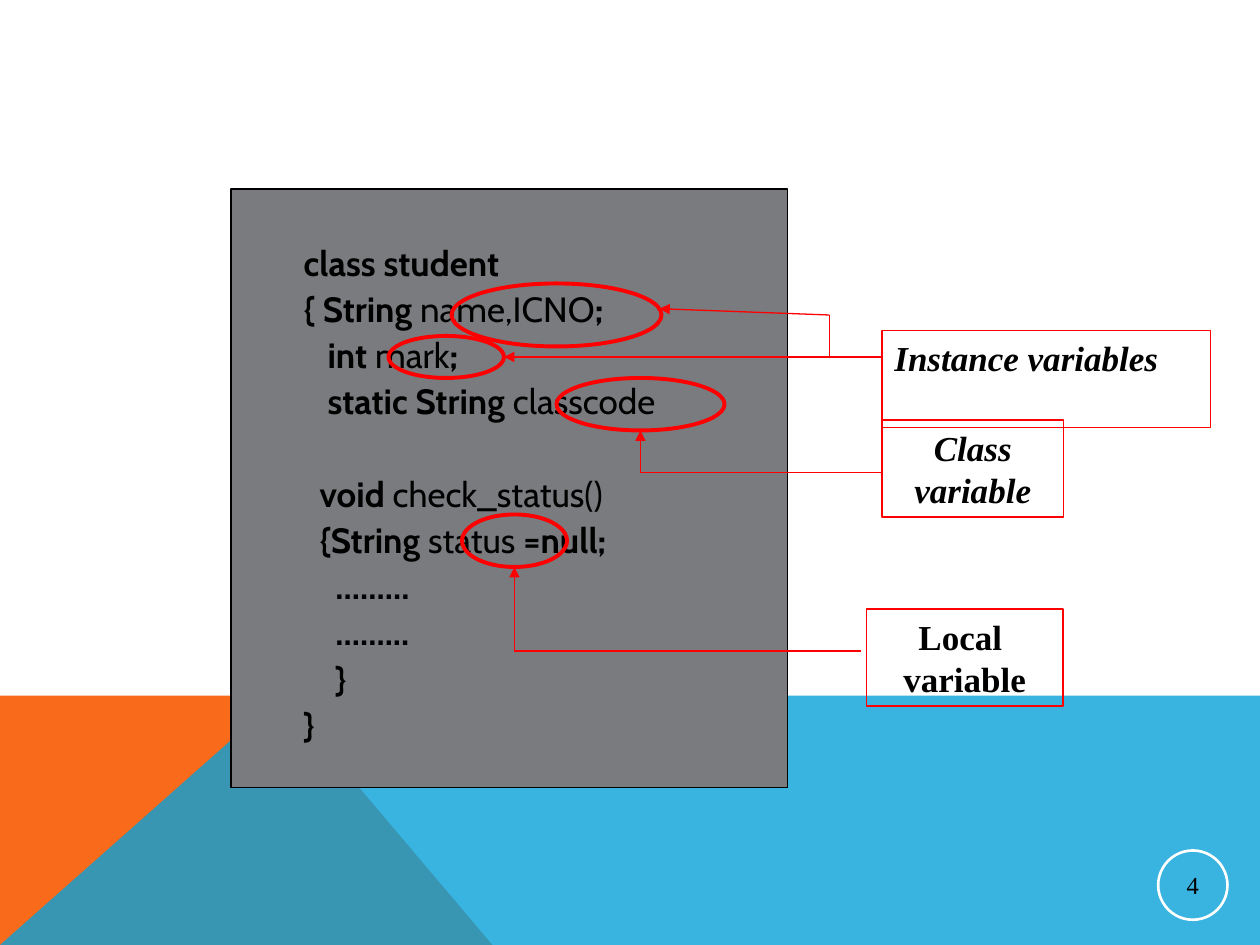
from typing import NamedTuple

from lxml import etree
from pptx import Presentation
from pptx import util as u
from pptx.dml.color import RGBColor
from pptx.enum import shapes, text
from pptx.oxml.ns import qn

CELL = u.Inches(10) // 120  # grid of 120 columns by 90 rows


class Theme(NamedTuple):
    white: str = "FFFFFF"
    black: str = "000000"
    red: str = "FF0000"
    gray: str = "797B7E"
    orange: str = "F96A1B"
    blue: str = "08A1D9"
    code: str = "Cabin"
    serif: str = "Times New Roman"
    size: int = 20
    small: int = 14
    thin: float = 0.75
    ring: float = 1.5
    thick: float = 2.25


class Box(NamedTuple):
    """Left, top, width and height in grid cells."""
    col: float
    row: float
    cols: float
    rows: float


class Label(NamedTuple):
    box: Box
    words: str
    italic: bool
    align: text.PP_ALIGN


class Code(NamedTuple):
    words: str  # parts between bars switch from bold to plain
    indent: float = 0
    gap: float = 0


Point = tuple[float, float]
T = Theme()
LEFT, MID = text.PP_ALIGN.LEFT, text.PP_ALIGN.CENTER
RECT, OVAL = shapes.MSO_SHAPE.RECTANGLE, shapes.MSO_SHAPE.OVAL
SPACE = 0.063  # indent step of the code, inches
PITCH = 26.4  # height of one code line, points

LABELS = [
    Label(Box(84, 31.5, 31.3, 9.25), "Instance variables", True, LEFT),
    Label(Box(84, 40, 17.3, 9.25), "Class\nvariable", True, MID),
    Label(Box(82.5, 58, 18.75, 9.25), "Local \nvariable", False, MID),
]
RINGS = [Box(44, 49, 10, 5), Box(53, 36, 16, 5),
         Box(43, 27, 20, 6), Box(37, 32, 11, 4)]
ROUTES = [  # each has its arrowhead at the first point
    [(62.8, 29.4), (79, 30), (79, 34)],
    [(48, 34), (79, 34), (84, 34)],
    [(61, 41), (61, 45), (84, 45)],
    [(49, 54), (49, 62), (82, 62)],
]
CODE = [
    Code("class student"),
    Code("{ String |name,ICNO|;"),
    Code("int |mark|;", 3),
    Code("static String |classcode", 3),
    Code("void |check_status()", 2, PITCH),
    Code("{String |status| =null;", 2),
    Code("………", 4),
    Code("……...", 4),
    Code("}", 4),
    Code("}"),
]


def grid(*cells: float) -> list[int]:
    return [round(n * CELL) for n in cells]


def style(run, font: str, size: float, bold: bool = False,
          italic: bool = False) -> None:
    face = run.font
    face.name, face.size = font, u.Pt(size)
    face.bold, face.italic = bold, italic
    face.color.rgb = RGBColor.from_string(T.black)


def shape(slide, kind, box: Box, line: str, width: float,
          fill: str | None = None):
    item = slide.shapes.add_shape(kind, *grid(*box))
    item.shadow.inherit = False
    if fill:
        item.fill.solid()
        item.fill.fore_color.rgb = RGBColor.from_string(fill)
    else:
        item.fill.background()
    item.line.color.rgb = RGBColor.from_string(line)
    item.line.width = u.Pt(width)
    return item


def wedge(slide, points: list[Point], color: str, alpha: int = 100) -> None:
    """Draw a filled outline with the given opacity in percent."""
    start, *rest = [tuple(grid(*p)) for p in points]
    form = slide.shapes.build_freeform(*start)
    form.add_line_segments(rest, close=True)
    item = form.convert_to_shape()
    item.shadow.inherit = False
    item.line.fill.background()
    item.fill.solid()
    item.fill.fore_color.rgb = RGBColor.from_string(color)
    if alpha < 100:
        tint = item.fill._xPr.find(".//" + qn("a:srgbClr"))
        etree.SubElement(tint, qn("a:alpha"), val=str(alpha * 1000))


def route(slide, points: list[Point]) -> None:
    for i, (start, end) in enumerate(zip(points, points[1:])):
        link = slide.shapes.add_connector(
            shapes.MSO_CONNECTOR.STRAIGHT, *grid(*start, *end))
        link.line.color.rgb = RGBColor.from_string(T.red)
        link.line.width = u.Pt(T.thin)
        if i == 0:
            etree.SubElement(link.line._get_or_add_ln(), qn("a:headEnd"),
                             type="triangle")
        etree.SubElement(link._element.spPr, qn("a:effectLst"))


def label(slide, item: Label) -> None:
    frame = shape(slide, RECT, item.box, T.red, T.thin).text_frame
    frame.word_wrap = True
    frame.vertical_anchor = text.MSO_ANCHOR.TOP
    frame.text = item.words
    for para in frame.paragraphs:
        para.alignment = item.align
        style(para.runs[0], T.serif, T.size, True, item.italic)


def listing(slide, box: Box) -> None:
    frame = slide.shapes.add_textbox(*grid(*box)).text_frame
    frame.word_wrap = False
    for i, line in enumerate(CODE):
        para = frame.add_paragraph() if i else frame.paragraphs[0]
        para.line_spacing = 1.1
        para.space_before = u.Pt(line.gap)
        props = para._p.get_or_add_pPr()
        props.set("marL", str(u.Inches(line.indent * SPACE)))
        props.set("indent", "0")
        for j, part in enumerate(line.words.split("|")):
            run = para.add_run()
            run.text = part
            style(run, T.code, T.size, bold=j % 2 == 0)


def number(slide, box: Box, words: str) -> None:
    frame = shape(slide, OVAL, box, T.white, T.ring).text_frame
    frame.margin_left = frame.margin_right = u.Inches(0.01)
    frame.margin_top = frame.margin_bottom = u.Inches(0.01)
    frame.vertical_anchor = text.MSO_ANCHOR.MIDDLE
    frame.text = words
    frame.paragraphs[0].alignment = MID
    style(frame.paragraphs[0].runs[0], T.serif, T.small)


def main() -> None:
    deck = Presentation()
    deck.slide_width, deck.slide_height = grid(120, 90)
    slide = deck.slides.add_slide(deck.slide_layouts[6])

    top, peak = 66.25, 26.8
    wedge(slide, [(0, 90), (0, top), (peak, top), (46.9, 90)], T.orange)
    wedge(slide, [(0, 90), (peak, top), (120, top), (120, 90)], T.blue, 80)
    number(slide, Box(110.3, 81, 6.6, 6.6), "4")
    shape(slide, RECT, Box(22, 18, 53, 57), T.black, T.thin, T.gray)
    listing(slide, Box(27.75, 22, 41.3, 49.5))
    for points in ROUTES:
        route(slide, points)
    for item in LABELS:
        label(slide, item)
    for box in RINGS:
        shape(slide, OVAL, box, T.red, T.thick)
    deck.save("out.pptx")


if __name__ == "__main__":
    main()
